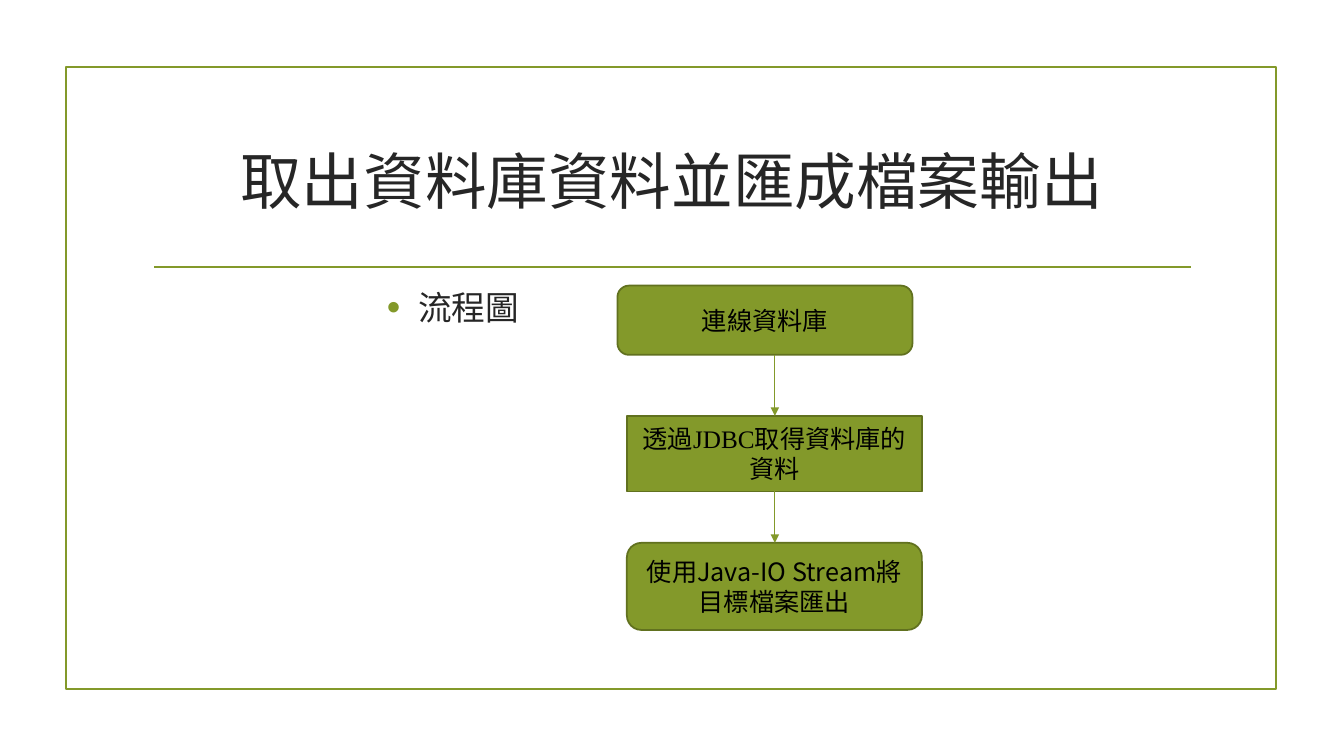
from dataclasses import dataclass

from lxml.etree import SubElement
from pptx import Presentation
from pptx.dml.color import RGBColor
from pptx.enum.shapes import MSO_CONNECTOR, MSO_SHAPE
from pptx.enum.text import MSO_ANCHOR, PP_ALIGN
from pptx.oxml.ns import qn
from pptx.util import Emu, Pt


@dataclass(frozen=True)
class Theme:
    green: str = "83992A"
    edge: str = "61711F"
    ink: str = "262626"
    black: str = "000000"
    serif: str = "Times New Roman"
    sans: str = "Noto Sans CJK TC"
    title: int = 44
    body: int = 24
    node: int = 18
    rule: float = 1.25
    thin: float = 0.75


THEME = Theme()
SCALE = 9525


def px(n):
    return Emu(n * SCALE)


def apply(item, values):
    for name, value in values.items():
        setattr(item, name, value)


def place(shape, left, top, width, height):
    apply(shape, {"left": px(left), "top": px(top),
                  "width": px(width), "height": px(height)})


def stroke(line, color, width):
    line.color.rgb = RGBColor.from_string(color)
    line.width = Pt(width)


def write(para, runs, size, color):
    """Add (text, Latin font) runs, with the sans font for Chinese."""
    for text, face in runs:
        run = para.add_run()
        run.text = text
        apply(run.font, {"size": Pt(size), "name": face})
        run.font.color.rgb = RGBColor.from_string(color)
        SubElement(run.font._element, qn("a:ea"), typeface=THEME.sans)


def add_frame(slide):
    frame = slide.shapes.add_shape(MSO_SHAPE.RECTANGLE, 0, 0, 0, 0)
    place(frame, 63, 64, 1152, 592)
    frame.shadow.inherit = False
    frame.fill.background()
    stroke(frame.line, THEME.green, THEME.rule)


def add_line(slide, start, end, width, arrow=False):
    line = slide.shapes.add_connector(
        MSO_CONNECTOR.STRAIGHT, *map(px, start + end))
    stroke(line.line, THEME.green, width)
    if arrow:
        SubElement(line.line._get_or_add_ln(), qn("a:tailEnd"), type="triangle")
    SubElement(line._element.spPr, qn("a:effectLst"))


def set_title(slide, text):
    title = slide.shapes.title
    place(title, 136, 103, 1008, 137)
    frame = title.text_frame
    apply(frame, {"word_wrap": True, "vertical_anchor": MSO_ANCHOR.MIDDLE})
    para = frame.paragraphs[0]
    para.alignment = PP_ALIGN.CENTER
    write(para, [(text, THEME.serif)], THEME.title, THEME.ink)


def add_bullet(slide, text):
    box = slide.shapes.add_textbox(0, 0, 0, 0)
    place(box, 359, 269, 785, 348)
    box.text_frame.word_wrap = True
    para = box.text_frame.paragraphs[0]
    props = para._p.get_or_add_pPr()
    apply_indent = {"marL": px(30), "indent": px(-30)}
    for name, value in apply_indent.items():
        props.set(name, str(value))
    color = SubElement(props, qn("a:buClr"))
    SubElement(color, qn("a:srgbClr"), val=THEME.green)
    SubElement(props, qn("a:buSzPct"), val="115000")
    SubElement(props, qn("a:buFont"), typeface="Arial")
    SubElement(props, qn("a:buChar"), char="•")
    para.space_after = Pt(6)
    write(para, [(text, THEME.serif)], THEME.body, THEME.ink)


def add_node(slide, kind, left, top, height, runs):
    node = slide.shapes.add_shape(kind, 0, 0, 0, 0)
    place(node, left, top, 281, height)
    node.shadow.inherit = False
    node.fill.solid()
    node.fill.fore_color.rgb = RGBColor.from_string(THEME.green)
    stroke(node.line, THEME.edge, THEME.rule)
    frame = node.text_frame
    apply(frame, {"word_wrap": True, "vertical_anchor": MSO_ANCHOR.MIDDLE})
    para = frame.paragraphs[0]
    para.alignment = PP_ALIGN.CENTER
    write(para, runs, THEME.node, THEME.black)


def main():
    deck = Presentation()
    apply(deck, {"slide_width": px(1280), "slide_height": px(720)})
    slide = deck.slides.add_slide(deck.slide_layouts[5])
    add_frame(slide)
    add_line(slide, (147, 254), (1134, 254), THEME.rule)
    set_title(slide, "取出資料庫資料並匯成檔案輸出")
    add_bullet(slide, "流程圖")

    serif, sans = THEME.serif, THEME.sans
    block, pill = MSO_SHAPE.RECTANGLE, MSO_SHAPE.ROUNDED_RECTANGLE
    nodes = [
        (pill, 588, 272, 66, [("連線資料庫", serif)]),
        (block, 597, 396, 72, [("透過JDBC取得資料庫的資料", serif)]),
        (pill, 597, 517, 83, [("使用", serif), ("Java-IO Stream", sans),
                              ("將目標檔案匯出", serif)]),
    ]
    for node in nodes:
        add_node(slide, *node)
    for (_, _, top, height, _), after in zip(nodes, nodes[1:]):
        add_line(slide, (738, top + height), (738, after[2]), THEME.thin, True)
    deck.save("out.pptx")


if __name__ == "__main__":
    main()
